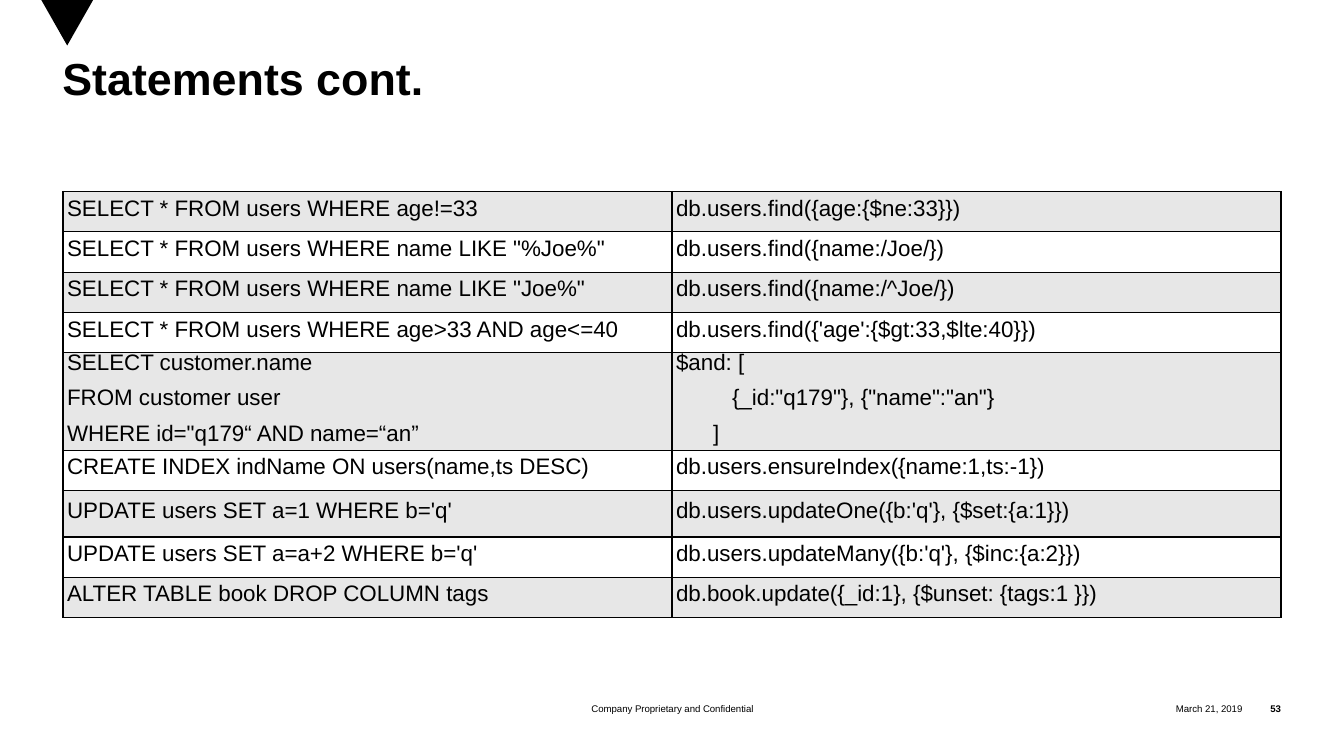
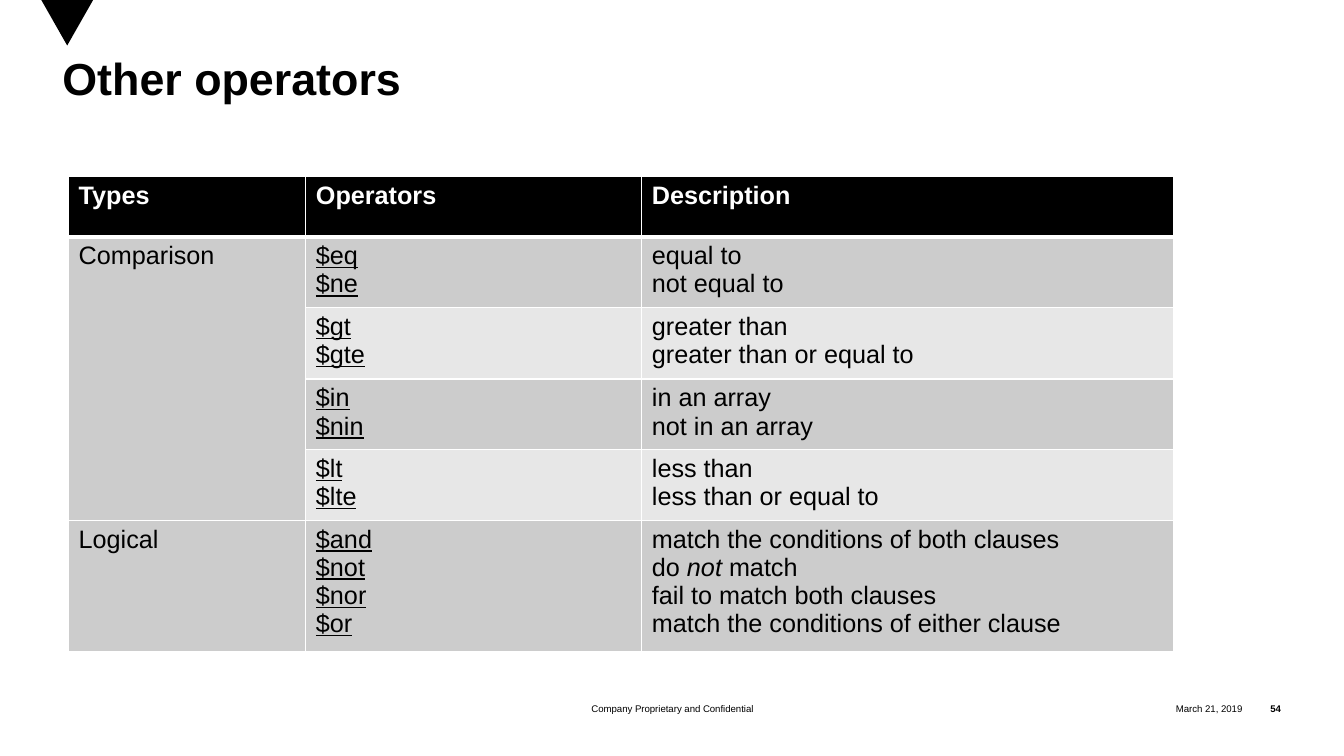
from dataclasses import dataclass
from typing import Optional, Union

from pptx import Presentation
from pptx import util as u
from pptx.dml.color import RGBColor
from pptx.enum import shapes, text
from pptx.oxml import parse_xml
from pptx.oxml.ns import nsdecls


@dataclass(frozen=True)
class Theme:
    font: str = "Arial"
    black: str = "000000"
    white: str = "FFFFFF"
    light: str = "E7E7E7"
    grey: str = "CCCCCC"
    title_size: float = 32
    code_size: float = 16
    body_size: float = 18
    footer_size: float = 6.9


THEME = Theme()


@dataclass(frozen=True)
class Frame:
    left: float
    top: float
    width: float
    height: float

    def points(self) -> tuple:
        return tuple(u.Pt(n) for n in (self.left, self.top, self.width, self.height))


@dataclass(frozen=True)
class Style:
    size: float
    color: str = THEME.black
    bold: bool = False
    underline: bool = False
    align: Optional[text.PP_ALIGN] = None
    line_spacing: Union[float, u.Length, None] = None
    space: Optional[float] = None


@dataclass(frozen=True)
class Line:
    words: str
    indent: float = 0
    italic: str = ""


@dataclass(frozen=True)
class Cell:
    lines: tuple
    style: Style
    fill: str


@dataclass(frozen=True)
class TableLook:
    left: float
    top: float
    columns: tuple
    rows: tuple
    border: str
    header_rule: float = 1
    margin: Optional[float] = None
    anchor: text.MSO_ANCHOR = text.MSO_ANCHOR.TOP


TITLE_FRAME = Frame(44.6, 41.8, 870, 93)
TITLE_STYLE = Style(THEME.title_size, bold=True, line_spacing=0.85)
MARKER_FRAME = Frame(29.5, 0, 37, 32.5)
FOOTER = Style(THEME.footer_size, align=text.PP_ALIGN.CENTER)
FOOTER_RIGHT = Style(THEME.footer_size, align=text.PP_ALIGN.RIGHT)
NUMBER_STYLE = Style(THEME.footer_size, bold=True, align=text.PP_ALIGN.RIGHT)

CODE = Style(THEME.code_size, line_spacing=u.Pt(13), space=6.2)
BODY = Style(THEME.body_size)
OPERATOR = Style(THEME.body_size, underline=True)
HEADER = Style(THEME.body_size, THEME.white, bold=True)

STATEMENT_LOOK = TableLook(
    45, 136.8, (435, 435), (28.8,) * 4 + (64.8, 28.8, 33.1, 28.8, 28.8),
    THEME.black, margin=2.9, anchor=text.MSO_ANCHOR.MIDDLE)
OPERATOR_LOOK = TableLook(
    49, 126, (169.5, 240, 380), (43.2, 28.8, 51.1, 43.2, 43.2, 43.2),
    THEME.white, header_rule=3)

STATEMENTS = (
    ("SELECT * FROM users WHERE age!=33", "db.users.find({age:{$ne:33}})"),
    ('SELECT * FROM users WHERE name LIKE "%Joe%"', "db.users.find({name:/Joe/})"),
    ('SELECT * FROM users WHERE name LIKE "Joe%"', "db.users.find({name:/^Joe/})"),
    ("SELECT * FROM users WHERE age>33 AND age<=40",
     "db.users.find({'age':{$gt:33,$lte:40}})"),
    (("SELECT customer.name", "FROM customer user", 'WHERE id="q179“ AND name=“an”'),
     ("$and: [", Line('{_id:"q179"}, {"name":"an"}', indent=40), Line("]", indent=26.5))),
    ("CREATE INDEX indName ON users(name,ts DESC)", "db.users.ensureIndex({name:1,ts:-1})"),
    ("UPDATE users SET a=1 WHERE b='q'", "db.users.updateOne({b:'q'}, {$set:{a:1}})"),
    ("UPDATE users SET a=a+2 WHERE b='q'", "db.users.updateMany({b:'q'}, {$inc:{a:2}})"),
    ("ALTER TABLE book DROP COLUMN tags", "db.book.update({_id:1}, {$unset: {tags:1 }})"),
)

OPERATORS = (
    ("Types", "Operators", "Description"),
    ("Comparison", ("$eq", "$ne"), ("equal to", "not equal to")),
    ("", ("$gt", "$gte"), ("greater than", "greater than or equal to")),
    ("", ("$in", "$nin"), ("in an array", "not in an array")),
    ("", ("$lt", "$lte"), ("less than", "less than or equal to")),
    ("Logical", ("$and", "$not", "$nor", "$or"),
     ("match the conditions of both clauses", Line("do not match", italic="not"),
      "fail to match both clauses", "match the conditions of either clause")),
)


def as_lines(content) -> tuple:
    """Turn a string, or a tuple of strings and lines, into lines."""
    items = content if isinstance(content, tuple) else (content,)
    return tuple(i if isinstance(i, Line) else Line(i) for i in items)


def write_line(para, line: Line, style: Style) -> None:
    if line.italic:
        before, italic, after = line.words.partition(line.italic)
        para.text = before
        for part in (italic, after):
            para.add_run().text = part
    else:
        para.text = line.words
    para.alignment = style.align
    if style.line_spacing is not None:
        para.line_spacing = style.line_spacing
    if style.space is not None:
        para.space_before = para.space_after = u.Pt(style.space)
    if line.indent:
        para._p.get_or_add_pPr().set("marL", str(u.Pt(line.indent)))
    for span in para.runs:
        font = span.font
        font.name = THEME.font
        font.size = u.Pt(style.size)
        font.color.rgb = RGBColor.from_string(style.color)
        font.bold = style.bold
        font.underline = style.underline
        font.italic = bool(line.italic) and span.text == line.italic


def write_lines(frame, lines: tuple, style: Style) -> None:
    frame.text = "\n".join(line.words for line in lines)
    for para, line in zip(frame.paragraphs, lines):
        write_line(para, line, style)


def add_text(page, words: str, place: Frame, style: Style,
             anchor=text.MSO_ANCHOR.MIDDLE) -> None:
    frame = page.shapes.add_textbox(*place.points()).text_frame
    frame.word_wrap = True
    frame.vertical_anchor = anchor
    frame.margin_left = frame.margin_right = frame.margin_top = frame.margin_bottom = 0
    write_lines(frame, as_lines(words), style)


def set_borders(cell, color: str, top: float, bottom: float) -> None:
    properties = cell._tc.get_or_add_tcPr()
    widths = (("lnL", 1), ("lnR", 1), ("lnT", top), ("lnB", bottom))
    for position, (tag, width) in enumerate(widths):
        properties.insert(position, parse_xml(
            f'<a:{tag} {nsdecls("a")} w="{u.Pt(width)}"><a:solidFill>'
            f'<a:srgbClr val="{color}"/></a:solidFill></a:{tag}>'))


def add_grid(page, look: TableLook, content: list):
    place = Frame(look.left, look.top, sum(look.columns), sum(look.rows))
    table = page.shapes.add_table(
        len(look.rows), len(look.columns), *place.points()).table
    table.first_row = table.horz_banding = False
    for column, width in zip(table.columns, look.columns):
        column.width = u.Pt(width)
    for r, (row, height) in enumerate(zip(table.rows, look.rows)):
        row.height = u.Pt(height)
        for box, cell in zip(row.cells, content[r]):
            box.fill.solid()
            box.fill.fore_color.rgb = RGBColor.from_string(cell.fill)
            box.vertical_anchor = look.anchor
            if look.margin is not None:
                box.margin_left = box.margin_right = u.Pt(look.margin)
                box.margin_top = box.margin_bottom = u.Pt(look.margin)
            set_borders(box, look.border,
                        top=look.header_rule if r == 1 else 1,
                        bottom=look.header_rule if r == 0 else 1)
            write_lines(box.text_frame, cell.lines, cell.style)
    return table


def add_page(deck, title: str, number: int):
    """Add a slide with the marker, footer and title that all slides share."""
    page = deck.slides.add_slide(deck.slide_layouts[6])
    marker = page.shapes.add_shape(
        shapes.MSO_SHAPE.FLOWCHART_MERGE, *MARKER_FRAME.points())
    marker.shadow.inherit = False
    marker.fill.solid()
    marker.fill.fore_color.rgb = RGBColor.from_string(THEME.black)
    marker.line.fill.background()
    for words, left, width, style in (
        ("March 21, 2019", 780.5, 107, FOOTER_RIGHT),
        (str(number), 887.5, 27.5, NUMBER_STYLE),
        ("Company Proprietary and Confidential", 315.5, 330, FOOTER),
    ):
        add_text(page, words, Frame(left, 497.5, width, 18), style)
    add_text(page, title, TITLE_FRAME, TITLE_STYLE, text.MSO_ANCHOR.TOP)
    return page


def add_statements(deck) -> None:
    page = add_page(deck, "Statements cont.", 53)
    fills = (THEME.light, THEME.white)
    add_grid(page, STATEMENT_LOOK, [
        [Cell(as_lines(item), CODE, fills[r % 2]) for item in row]
        for r, row in enumerate(STATEMENTS)])


def add_operators(deck) -> None:
    page = add_page(deck, "Other operators", 54)
    fills = (THEME.light, THEME.grey)
    styles = (BODY, OPERATOR, BODY)
    header, *body = OPERATORS
    content = [[Cell(as_lines(item), HEADER, THEME.black) for item in header]]
    for r, row in enumerate(body, start=1):
        content.append([
            Cell(as_lines(item), style, THEME.grey if c == 0 else fills[r % 2])
            for c, (item, style) in enumerate(zip(row, styles))])
    table = add_grid(page, OPERATOR_LOOK, content)
    table.cell(1, 0).merge(table.cell(4, 0))


def main() -> None:
    deck = Presentation()
    deck.slide_width, deck.slide_height = u.Pt(960), u.Pt(540)
    add_statements(deck)
    add_operators(deck)
    deck.save("out.pptx")


if __name__ == "__main__":
    main()
